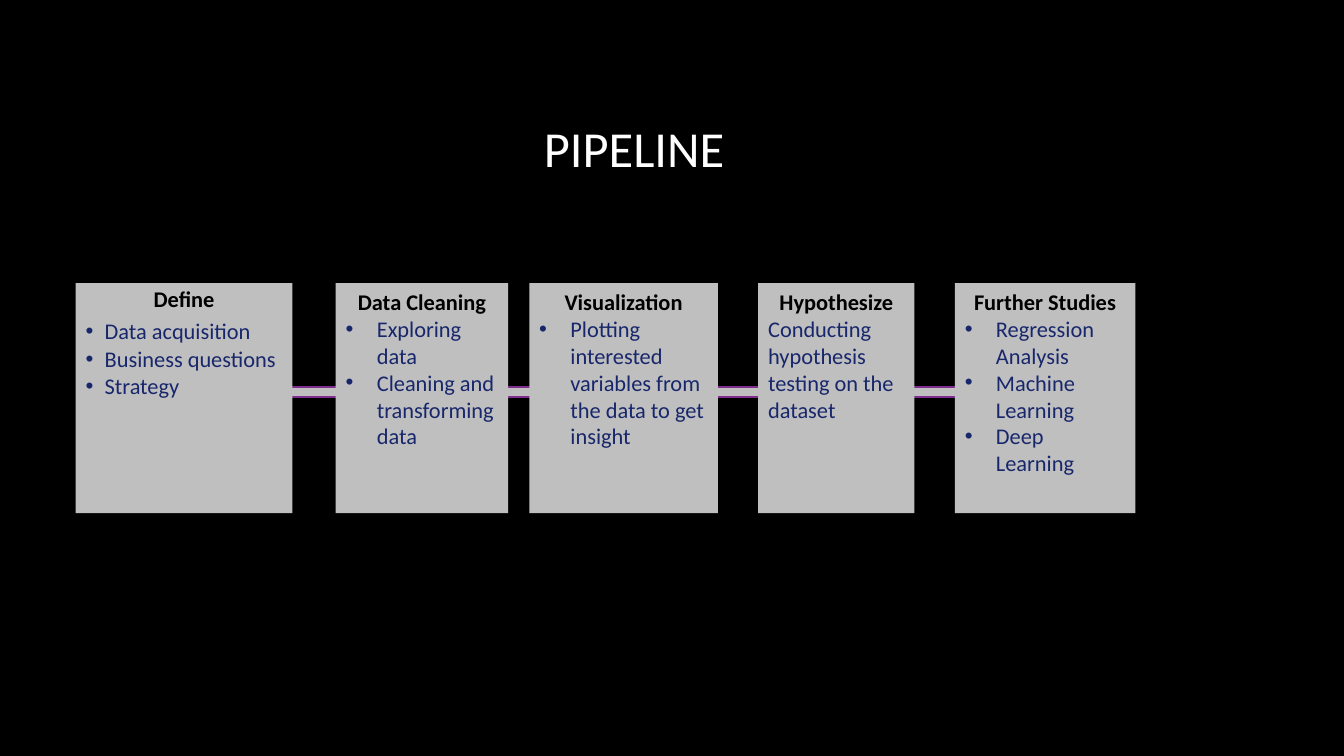
from pptx import Presentation
from pptx.dml.color import RGBColor
from pptx.enum.shapes import MSO_SHAPE
from pptx.enum.text import MSO_ANCHOR, PP_ALIGN
from pptx.oxml.ns import qn
from pptx.util import Inches, Pt
from lxml import etree

COLORS = {"back": "000000", "title": "FFFFFF", "box": "BFBFBF",
          "edge": "7F2E8F", "head": "000000", "body": "18276C"}

# Left, width, heading, body lines, bullet indent (0 means no bullet)
STEPS = [
    (0.75, 2.15, "Define",
     ["Data acquisition", "Business questions", "Strategy"], 0.19),
    (3.33, 1.71, "Data Cleaning",
     ["Exploring data", "Cleaning and transforming data"], 0.31),
    (5.25, 1.87, "Visualization",
     ["Plotting interested variables from the data to get insight"], 0.31),
    (7.52, 1.55, "Hypothesize",
     ["Conducting hypothesis testing on the dataset"], 0),
    (9.47, 1.79, "Further Studies",
     ["Regression Analysis", "Machine Learning", "Deep Learning"], 0.31),
]


def add_run(para, text, size, color, bold=False):
    run = para.add_run()
    run.text = text
    run.font.name = "Calibri"
    run.font.size = Pt(size)
    run.font.bold = bold
    run.font.color.rgb = RGBColor.from_string(COLORS[color])


def add_rect(left, top, width, height):
    rect = slide.shapes.add_shape(
        MSO_SHAPE.RECTANGLE, Inches(left), Inches(top), Inches(width), Inches(height))
    rect.shadow.inherit = False
    rect.fill.solid()
    rect.fill.fore_color.rgb = RGBColor.from_string(COLORS["box"])
    rect.line.fill.background()
    return rect


# Slide
prs = Presentation()
prs.slide_width, prs.slide_height = Inches(13.33), Inches(7.5)
slide = prs.slides.add_slide(prs.slide_layouts[6])
slide.background.fill.solid()
slide.background.fill.fore_color.rgb = RGBColor.from_string(COLORS["back"])

# Title
title = slide.shapes.add_textbox(Inches(0.75), Inches(0.67), Inches(11.08), Inches(1.59))
frame = title.text_frame
frame.word_wrap = True
frame.vertical_anchor = MSO_ANCHOR.MIDDLE
frame.paragraphs[0].alignment = PP_ALIGN.CENTER
add_run(frame.paragraphs[0], "PIPELINE", 36, "title")

# Bar behind the steps
bar = add_rect(2.78, 3.84, 7.64, 0.1)
bar.line.color.rgb = RGBColor.from_string(COLORS["edge"])
bar.line.width = Pt(1.5)

# Steps
for left, width, head, lines, indent in STEPS:
    frame = add_rect(left, 2.81, width, 2.28).text_frame
    frame.word_wrap = True
    frame.vertical_anchor = MSO_ANCHOR.TOP
    para = frame.paragraphs[0]
    para.alignment = PP_ALIGN.CENTER
    add_run(para, head, 16, "head", True)
    for line in lines:
        para = frame.add_paragraph()
        para.alignment = PP_ALIGN.LEFT
        if indent:
            props = para._p.get_or_add_pPr()
            props.set("marL", str(Inches(indent)))
            props.set("indent", str(-Inches(indent)))
            etree.SubElement(props, qn("a:buFont")).set("typeface", "Arial")
            etree.SubElement(props, qn("a:buChar")).set("char", "•")
        add_run(para, line, 16, "body")
    # The first step is set tighter, with gaps between its lines
    if head == "Define":
        for para in frame.paragraphs:
            para.line_spacing = 0.9
            para.space_after = Pt(2.4)
        frame.paragraphs[0].space_after = Pt(5.6)

prs.save("out.pptx")
